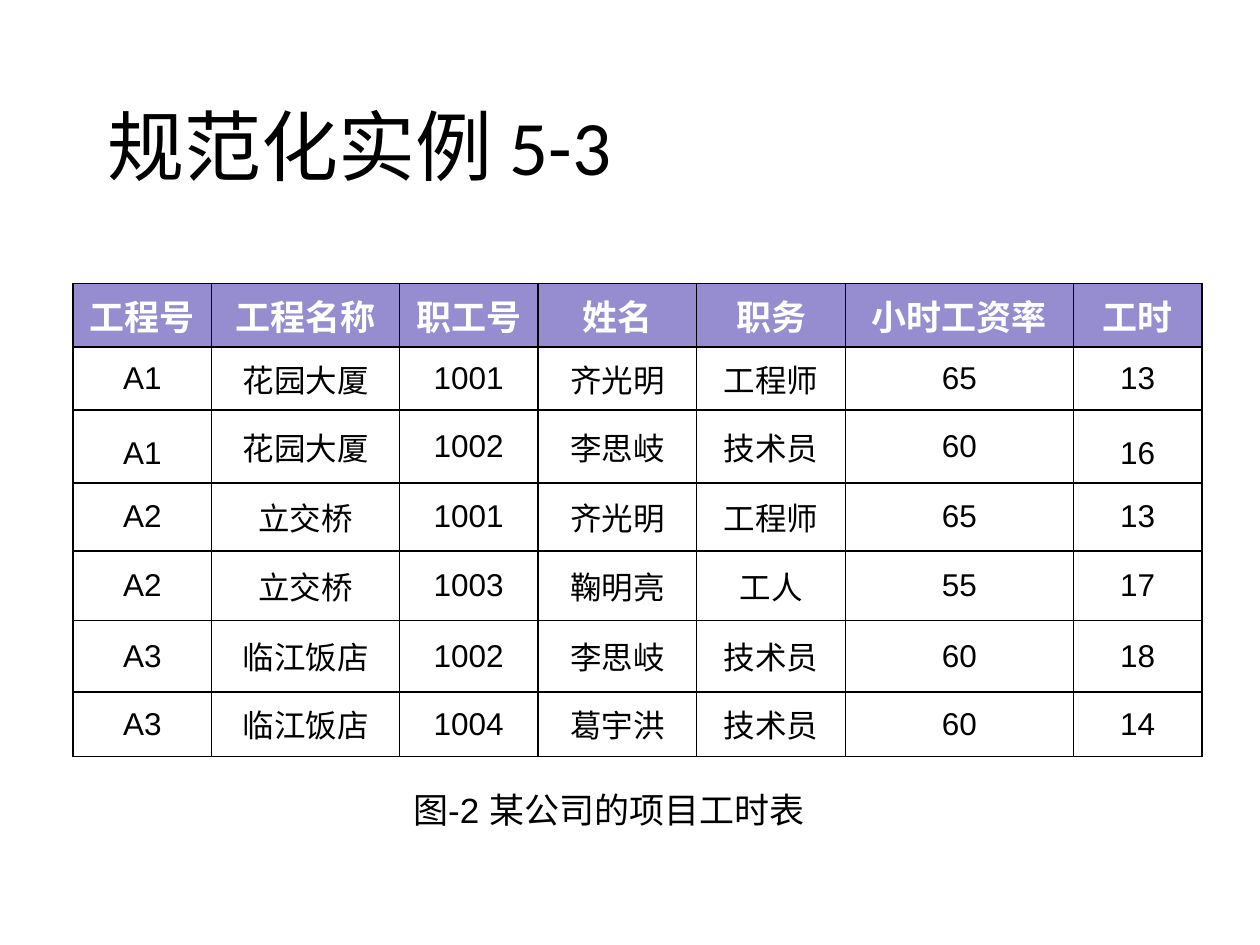
from dataclasses import dataclass

from lxml.etree import SubElement
from pptx import Presentation
from pptx.dml.color import RGBColor
from pptx.enum.text import MSO_ANCHOR, MSO_AUTO_SIZE, PP_ALIGN
from pptx.oxml.ns import qn
from pptx.util import Inches, Pt

CJK_FONT = "Noto Sans CJK SC"
BLACK, WHITE, HEADER_FILL = "000000", "FFFFFF", "958DCF"


@dataclass(frozen=True)
class TextStyle:
    size: int
    font: str = "Arial"
    color: str = BLACK
    bold: bool = False
    align: PP_ALIGN = PP_ALIGN.LEFT
    line_spacing: float = 1.0


@dataclass(frozen=True)
class Column:
    heading: str
    width: float
    values: tuple[str, ...]


TITLE = TextStyle(44, "Calibri")
HEADER = TextStyle(20, CJK_FONT, WHITE, True, PP_ALIGN.CENTER)
BODY = TextStyle(18, align=PP_ALIGN.CENTER)
LOOSE_BODY = TextStyle(18, align=PP_ALIGN.CENTER, line_spacing=1.4)
CAPTION = TextStyle(20, line_spacing=0.8)

COLUMNS = (
    Column("工程号", 1.1, ("A1", "A1", "A2", "A2", "A3", "A3")),
    Column("工程名称", 1.49, ("花园大厦", "花园大厦", "立交桥", "立交桥", "临江饭店", "临江饭店")),
    Column("职工号", 1.1, ("1001", "1002", "1001", "1003", "1002", "1004")),
    Column("姓名", 1.26, ("齐光明", "李思岐", "齐光明", "鞠明亮", "李思岐", "葛宇洪")),
    Column("职务", 1.18, ("工程师", "技术员", "工程师", "工人", "技术员", "技术员")),
    Column("小时工资率", 1.81, ("65", "60", "65", "55", "60", "60")),
    Column("工时", 1.02, ("13", "16", "13", "17", "18", "14")),
)
ROW_HEIGHTS = (0.48, 0.5, 0.58, 0.54, 0.55, 0.57, 0.51)
LOOSE_CELLS = {(2, 0), (2, 6)}  # row, column of cells with wider line spacing


def rgb(color: str) -> RGBColor:
    return RGBColor.from_string(color)


def write_text(text_frame, text: str, style: TextStyle) -> None:
    paragraph = text_frame.paragraphs[0]
    paragraph.alignment = style.align
    paragraph.line_spacing = style.line_spacing
    run = paragraph.add_run()
    run.text = text
    font_format = {"size": Pt(style.size), "name": style.font, "bold": style.bold}
    for attribute, value in font_format.items():
        setattr(run.font, attribute, value)
    run.font.color.rgb = rgb(style.color)
    SubElement(run.font._element, qn("a:ea"), typeface=CJK_FONT)


def add_borders(cell, color: str = BLACK, width: int = 1) -> None:
    properties = cell._tc.get_or_add_tcPr()
    for position, side in enumerate(("a:lnL", "a:lnR", "a:lnT", "a:lnB")):
        line = SubElement(properties, qn(side), w=str(Pt(width)))
        fill = SubElement(line, qn("a:solidFill"))
        SubElement(fill, qn("a:srgbClr"), val=color)
        properties.insert(position, line)  # borders come before the fill


def fill_cell(cell, text: str, style: TextStyle, fill: str | None) -> None:
    cell.vertical_anchor = MSO_ANCHOR.MIDDLE
    write_text(cell.text_frame, text, style)
    if fill:
        cell.fill.solid()
        cell.fill.fore_color.rgb = rgb(fill)
    else:
        cell.fill.background()
    add_borders(cell)


def add_hours_table(slide) -> None:
    width = sum(column.width for column in COLUMNS)
    table = slide.shapes.add_table(
        len(ROW_HEIGHTS), len(COLUMNS),
        Inches(0.58), Inches(2.25), Inches(width), Inches(sum(ROW_HEIGHTS)),
    ).table
    table.horz_banding = False
    for row, height in zip(table.rows, ROW_HEIGHTS):
        row.height = Inches(height)
    for column_index, column in enumerate(COLUMNS):
        table.columns[column_index].width = Inches(column.width)
        fill_cell(table.cell(0, column_index), column.heading, HEADER, HEADER_FILL)
        for row_index, value in enumerate(column.values, start=1):
            style = LOOSE_BODY if (row_index, column_index) in LOOSE_CELLS else BODY
            fill_cell(table.cell(row_index, column_index), value, style, None)


def main() -> None:
    presentation = Presentation()
    presentation.slide_width, presentation.slide_height = Inches(10), Inches(7.5)
    slide = presentation.slides.add_slide(presentation.slide_layouts[5])

    # Title
    title = slide.shapes.title
    title_box = {"left": 0.75, "top": 0.36, "width": 8.42, "height": 1.57}
    for attribute, value in title_box.items():
        setattr(title, attribute, Inches(value))
    title.text_frame.vertical_anchor = MSO_ANCHOR.MIDDLE
    write_text(title.text_frame, "规范化实例 5-3", TITLE)

    # Project hours
    add_hours_table(slide)

    # Caption
    caption = slide.shapes.add_textbox(Inches(3.18), Inches(6.27), Inches(3.7), Inches(0.37))
    caption.text_frame.word_wrap = True
    caption.text_frame.auto_size = MSO_AUTO_SIZE.SHAPE_TO_FIT_TEXT
    write_text(caption.text_frame, "图-2 某公司的项目工时表", CAPTION)

    presentation.save("out.pptx")


if __name__ == "__main__":
    main()
